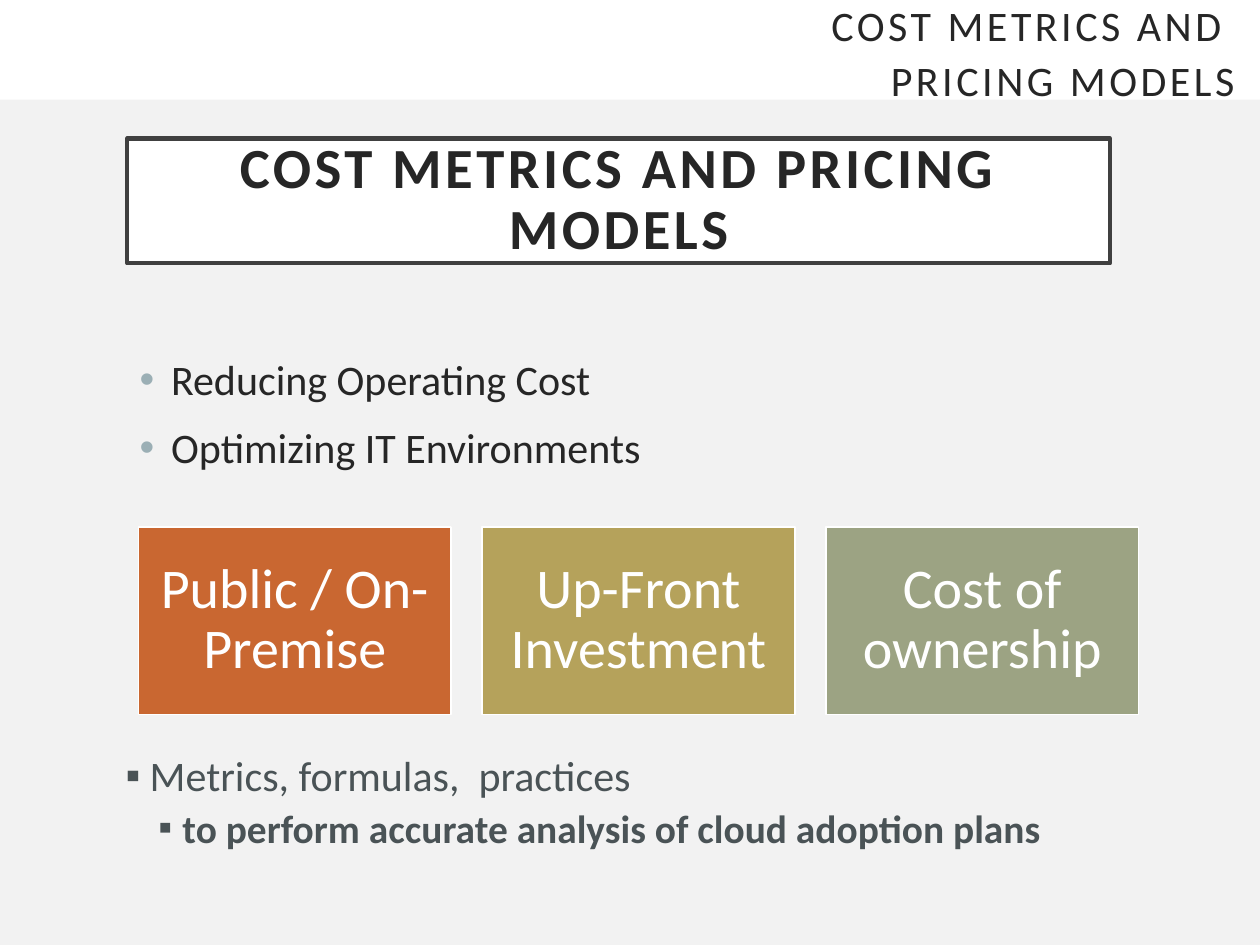
from lxml.etree import SubElement
from pptx import Presentation
from pptx.dml.color import RGBColor
from pptx.enum.shapes import MSO_SHAPE as Shape
from pptx.enum.text import MSO_ANCHOR as Anchor, MSO_AUTO_SIZE as AutoSize, PP_ALIGN as Align
from pptx.oxml.ns import qn
from pptx.util import Inches, Pt

WHITE = RGBColor(0xFF, 0xFF, 0xFF)
PALE = RGBColor(0xF2, 0xF2, 0xF2)
INK = RGBColor(0x26, 0x26, 0x26)
FRAME = RGBColor(0x40, 0x40, 0x40)
SLATE = RGBColor(0x4A, 0x53, 0x56)
MIST = RGBColor(0x9B, 0xAF, 0xB5)
ORANGE = RGBColor(0xC9, 0x67, 0x31)
OLIVE = RGBColor(0xB5, 0xA2, 0x5B)
SAGE = RGBColor(0x9C, 0xA3, 0x83)

WIDTH, HEIGHT = 10, 7.5
TITLE = "COST METRICS AND PRICING MODELS"
HEADER = ["COST METRICS AND ", "PRICING MODELS"]
GOALS = ["Reducing Operating Cost", "Optimizing IT Environments"]
CARDS = [
    ("Public / On-Premise", ORANGE),
    ("Up-Front Investment", OLIVE),
    ("Cost of ownership", SAGE),
]
PRACTICES = [
    ("Metrics, formulas,  practices", 0, 0.23, 13.5, {"size": Pt(24)}),
    ("to perform accurate analysis of cloud adoption plans", 1, 0.49, 7.5,
     {"size": Pt(22.5), "bold": True}),
]
TITLE_AREA = (1.01, 1.1, 7.8, 0.99)
GOALS_AREA = (1.01, 2.76, 7.8, 1.16)
PRACTICES_AREA = (0.86, 5.98, 7.8, 1.16)
HEADER_AREA = (0, 0, WIDTH, 0.79)
CARD_LEFT, CARD_TOP, CARD_WIDTH, CARD_HEIGHT = 1.1, 4.18, 2.48, 1.49
CARD_STEP = 1.1 * CARD_WIDTH


def apply(target, values):
    for name, value in values.items():
        setattr(target, name, value)


def place(box, area):
    apply(box, dict(zip(("left", "top", "width", "height"), map(Inches, area))))


def paint(box, fill, line=None, weight=1):
    box.fill.solid()
    box.fill.fore_color.rgb = fill
    if line is None:
        box.line.fill.background()
    else:
        box.line.color.rgb = line
        box.line.width = Pt(weight)


def set_frame(box, inset=None):
    frame = box.text_frame
    apply(frame, {"word_wrap": True, "auto_size": AutoSize.NONE})
    if inset is not None:
        sides = ("margin_left", "margin_top", "margin_right", "margin_bottom")
        apply(frame, dict.fromkeys(sides, Inches(inset)))
        frame.vertical_anchor = Anchor.MIDDLE
    return frame


def write(frame, index, text, color, font, layout, spacing=None):
    para = frame.paragraphs[0] if index == 0 else frame.add_paragraph()
    apply(para, layout)
    span = para.add_run()
    span.text = text
    apply(span.font, {"name": "Calibri", **font})
    span.font.color.rgb = color
    if spacing:
        span.font._element.set("spc", str(spacing * 100))
    return para


def add_bullet(para, symbol, color, indent, hanging):
    props = para._p.get_or_add_pPr()
    props.set("marL", str(Inches(indent)))
    props.set("indent", str(-Inches(hanging)))
    tint = SubElement(props, qn("a:buClr"))
    SubElement(tint, qn("a:srgbClr"), val=str(color))
    SubElement(props, qn("a:buFont"), typeface="Arial")
    SubElement(props, qn("a:buChar"), char=symbol)


def add_rectangle(page, area):
    box = page.shapes.add_shape(Shape.RECTANGLE, *map(Inches, area))
    box.shadow.inherit = False
    return box


def add_text_box(page, area):
    return set_frame(page.shapes.add_textbox(*map(Inches, area)))


def main():
    deck = Presentation()
    apply(deck, {"slide_width": Inches(WIDTH), "slide_height": Inches(HEIGHT)})
    page = deck.slides.add_slide(deck.slide_layouts[5])
    page.background.fill.solid()
    page.background.fill.fore_color.rgb = PALE

    title = page.shapes.title
    place(title, TITLE_AREA)
    paint(title, WHITE, FRAME, 2.5)
    write(set_frame(title, 0.2), 0, TITLE, INK, {"size": Pt(32.4), "bold": True},
          {"alignment": Align.CENTER, "line_spacing": 0.9}, 2)

    frame = add_text_box(page, GOALS_AREA)
    for index, text in enumerate(GOALS):
        para = write(frame, index, text, INK, {"size": Pt(24)}, {"space_before": Pt(10)})
        add_bullet(para, "•", MIST, 0.25, 0.25)

    for column, (text, color) in enumerate(CARDS):
        left = CARD_LEFT + column * CARD_STEP
        card = add_rectangle(page, (left, CARD_TOP, CARD_WIDTH, CARD_HEIGHT))
        paint(card, color, WHITE)
        write(set_frame(card, 0.13), 0, text, WHITE, {"size": Pt(32)},
              {"alignment": Align.CENTER, "line_spacing": 0.9})

    frame = add_text_box(page, PRACTICES_AREA)
    for index, (text, level, indent, before, font) in enumerate(PRACTICES):
        layout = {"level": level, "line_spacing": 0.8, "space_before": Pt(before)}
        para = write(frame, index, text, SLATE, font, layout)
        add_bullet(para, "▪", SLATE, indent, 0.19)

    header = add_rectangle(page, HEADER_AREA)
    paint(header, WHITE)
    frame = set_frame(header, 0.2)
    for index, text in enumerate(HEADER):
        write(frame, index, text, INK, {"size": Pt(24)},
              {"alignment": Align.RIGHT, "line_spacing": 1.1}, 2)

    deck.save("out.pptx")


if __name__ == "__main__":
    main()
